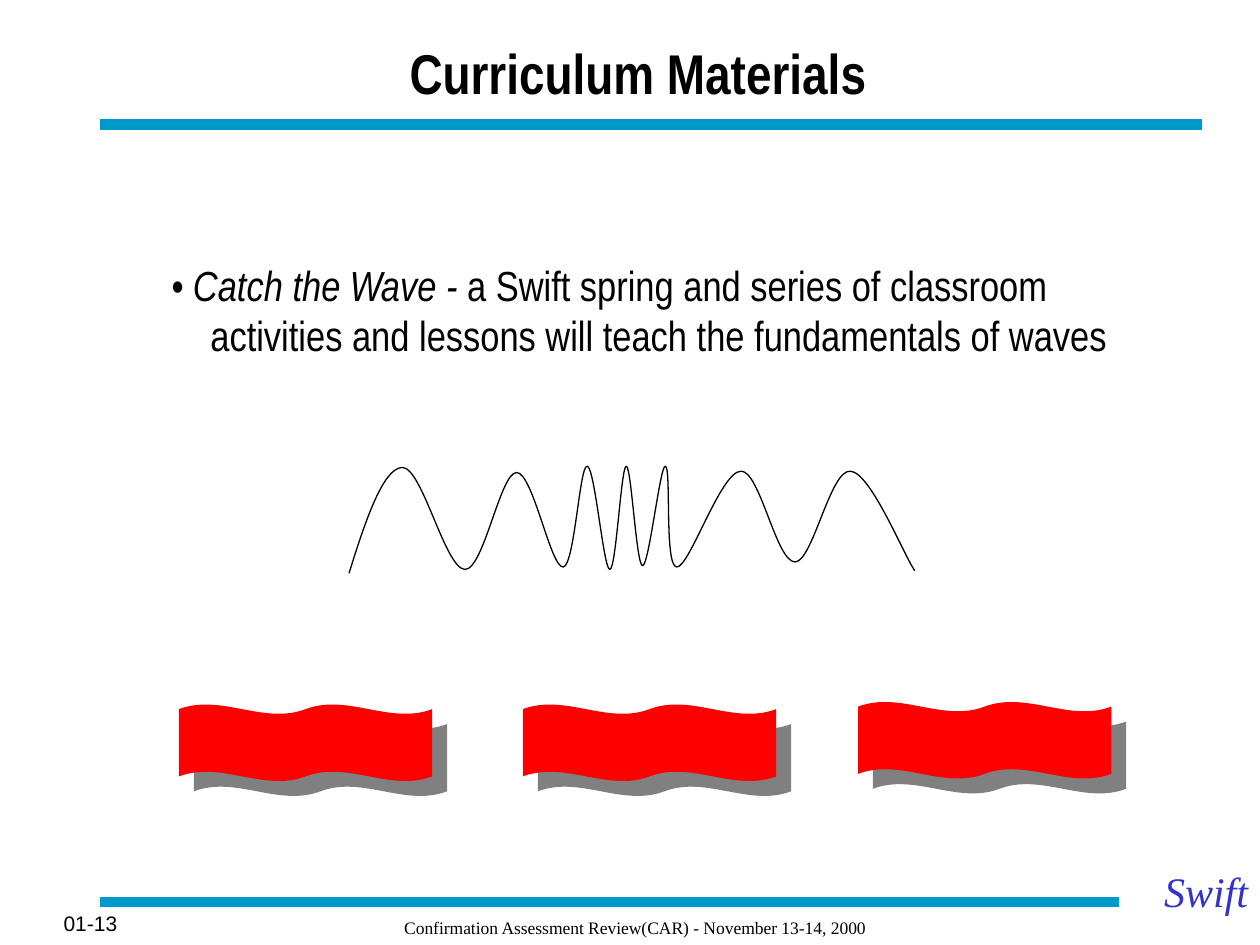
from typing import NamedTuple

from lxml.etree import SubElement
from pptx import Presentation
from pptx.dml.color import RGBColor
from pptx.enum.shapes import MSO_CONNECTOR as Connector, MSO_SHAPE as Preset
from pptx.enum.text import MSO_ANCHOR as Anchor, MSO_AUTO_SIZE as AutoSize, PP_ALIGN as Align
from pptx.oxml.ns import qn
from pptx.util import Inches, Pt

WIDTH, HEIGHT = Inches(10), Inches(7.5)
COLUMNS, ROWS = 10, 7.5
COLORS = {"text": "000000", "bar": "0099CC", "mission": "3333CC",
          "flag": "FF0000", "shadow": "808080"}


class Area(NamedTuple):
    column: float
    row: float
    columns: float
    rows: float


class Style(NamedTuple):
    font: str
    size: float
    color: str = "text"
    bold: bool = False
    italic: bool = False


class Label(NamedTuple):
    text: str
    area: Area
    style: Style
    align: Align = Align.LEFT
    anchor: Anchor = Anchor.TOP


class Bar(NamedTuple):
    row: float
    start: float
    end: float


class Curve(NamedTuple):
    leave: tuple[float, float]
    arrive: tuple[float, float]
    end: tuple[float, float]


BARS = [Bar(0.99, 0.79, 9.54), Bar(7.16, 0.79, 8.88)]
LABELS = [
    Label("01-13", Area(-0.17, 7.18, 1.2, 0.3), Style("Arial", 12), Align.RIGHT, Anchor.MIDDLE),
    Label("Swift", Area(9.14, 6.82, 0.87, 0.5),
          Style("Times New Roman", 24, "mission", italic=True)),
    Label("Confirmation Assessment Review(CAR) - November 13-14, 2000",
          Area(3.11, 7.23, 3.86, 0.27), Style("Times New Roman", 10)),
]
FLAGS = [Area(column, row, 2.01, 0.61)
         for column, row in [(1.42, 5.59), (4.15, 5.59), (6.81, 5.57)]]
WAVE_START = (2.77, 4.55)
WAVE = [
    Curve((2.9, 4.13), (3.04, 3.72), (3.19, 3.71)),
    Curve((3.35, 3.7), (3.53, 4.51), (3.69, 4.52)),
    Curve((3.84, 4.52), (3.97, 3.75), (4.1, 3.75)),
    Curve((4.23, 3.75), (4.37, 4.51), (4.47, 4.5)),
    Curve((4.56, 4.49), (4.6, 3.69), (4.66, 3.7)),
    Curve((4.72, 3.7), (4.79, 4.52), (4.84, 4.52)),
    Curve((4.89, 4.52), (4.93, 3.7), (4.97, 3.7)),
    Curve((5.01, 3.69), (5.05, 4.49), (5.1, 4.49)),
    Curve((5.15, 4.49), (5.24, 3.69), (5.28, 3.7)),
    Curve((5.33, 3.7), (5.27, 4.49), (5.37, 4.5)),
    Curve((5.47, 4.51), (5.72, 3.74), (5.88, 3.74)),
    Curve((6.03, 3.73), (6.16, 4.46), (6.31, 4.46)),
    Curve((6.45, 4.46), (6.59, 3.72), (6.75, 3.74)),
    Curve((6.91, 3.75), (7.17, 4.4), (7.26, 4.53)),
]


def across(columns: float) -> int:
    return round(WIDTH * columns / COLUMNS)


def down(rows: float) -> int:
    return round(HEIGHT * rows / ROWS)


def place(area: Area) -> tuple[int, int, int, int]:
    return across(area.column), down(area.row), across(area.columns), down(area.rows)


def color(name: str) -> RGBColor:
    return RGBColor.from_string(COLORS[name])


def style_span(span, style: Style) -> None:
    span.font.name = style.font
    span.font.size = Pt(style.size)
    span.font.bold = style.bold
    span.font.italic = style.italic
    span.font.color.rgb = color(style.color)


def move(box, area: Area) -> None:
    box.left, box.top, box.width, box.height = place(area)


def draw_bar(page, bar: Bar) -> None:
    line = page.shapes.add_connector(Connector.STRAIGHT, across(bar.start), down(bar.row),
                                     across(bar.end), down(bar.row))
    line.line.color.rgb = color("bar")
    line.line.width = Pt(6)
    SubElement(line._element.spPr, qn("a:effectLst"))


def draw_label(page, label: Label) -> None:
    box = page.shapes.add_textbox(*place(label.area))
    frame = box.text_frame
    frame.text = label.text
    frame.word_wrap = False
    frame.vertical_anchor = label.anchor
    para = frame.paragraphs[0]
    para.alignment = label.align
    style_span(para.runs[0], label.style)


def fill_title(page) -> None:
    title = page.shapes.title
    move(title, Area(1.95, 0.24, 6.23, 0.67))
    frame = title.text_frame
    frame.text = "Curriculum Materials"
    frame.auto_size = AutoSize.NONE
    frame.vertical_anchor = Anchor.MIDDLE
    para = frame.paragraphs[0]
    para.alignment = Align.CENTER
    style_span(para.runs[0], Style("Arial Narrow", 32, bold=True))


def fill_body(page) -> None:
    body = page.placeholders[1]
    move(body, Area(0.76, 2.01, 8.5, 1.82))
    frame = body.text_frame
    frame.auto_size = AutoSize.NONE
    frame.vertical_anchor = Anchor.TOP
    para = frame.paragraphs[0]
    para.level = 1
    settings = para._p.get_or_add_pPr()
    settings.set("marL", str(Inches(0.81)))
    settings.set("indent", str(Inches(-0.31)))
    SubElement(settings, qn("a:buNone"))
    para.space_before = Pt(0)
    para.text = "• Catch the Wave - "
    para.add_run().text = ("a Swift spring and series of classroom activities and lessons "
                           "will teach the fundamentals of waves")
    for span, italic in zip(para.runs, (True, False)):
        style_span(span, Style("Arial Narrow", 24, italic=italic))


def draw_flag(page, area: Area) -> None:
    flag = page.shapes.add_shape(Preset.DOUBLE_WAVE, *place(area))
    flag.fill.solid()
    flag.fill.fore_color.rgb = color("flag")
    flag.line.fill.background()
    flag.shadow.inherit = False
    effects = flag._element.spPr.find(qn("a:effectLst"))
    shadow = SubElement(effects, qn("a:outerShdw"), dist=str(Pt(12.1)),
                        dir=str(45 * 60000), algn="ctr", rotWithShape="0")
    SubElement(shadow, qn("a:srgbClr"), val=COLORS["shadow"])


def draw_wave(page, start: tuple[float, float], curves: list[Curve]) -> None:
    builder = page.shapes.build_freeform(across(start[0]), down(start[1]))
    builder.add_line_segments([(across(x), down(y)) for x, y in (c.end for c in curves)],
                              close=False)
    wave = builder.convert_to_shape()
    wave.fill.background()
    wave.line.color.rgb = color("text")
    wave.line.width = Pt(0.75)
    wave.shadow.inherit = False
    for segment, curve in zip(wave._element.findall(".//" + qn("a:lnTo")), curves):
        segment.tag = qn("a:cubicBezTo")
        for child in list(segment):
            segment.remove(child)
        for x, y in curve:
            SubElement(segment, qn("a:pt"), x=str(across(x) - wave.left),
                       y=str(down(y) - wave.top))


def main() -> None:
    deck = Presentation()
    deck.slide_width, deck.slide_height = WIDTH, HEIGHT
    page = deck.slides.add_slide(deck.slide_layouts[1])
    for bar in BARS:
        draw_bar(page, bar)
    for label in LABELS:
        draw_label(page, label)
    fill_title(page)
    fill_body(page)
    draw_wave(page, WAVE_START, WAVE)
    for area in FLAGS:
        draw_flag(page, area)
    deck.save("out.pptx")


if __name__ == "__main__":
    main()
